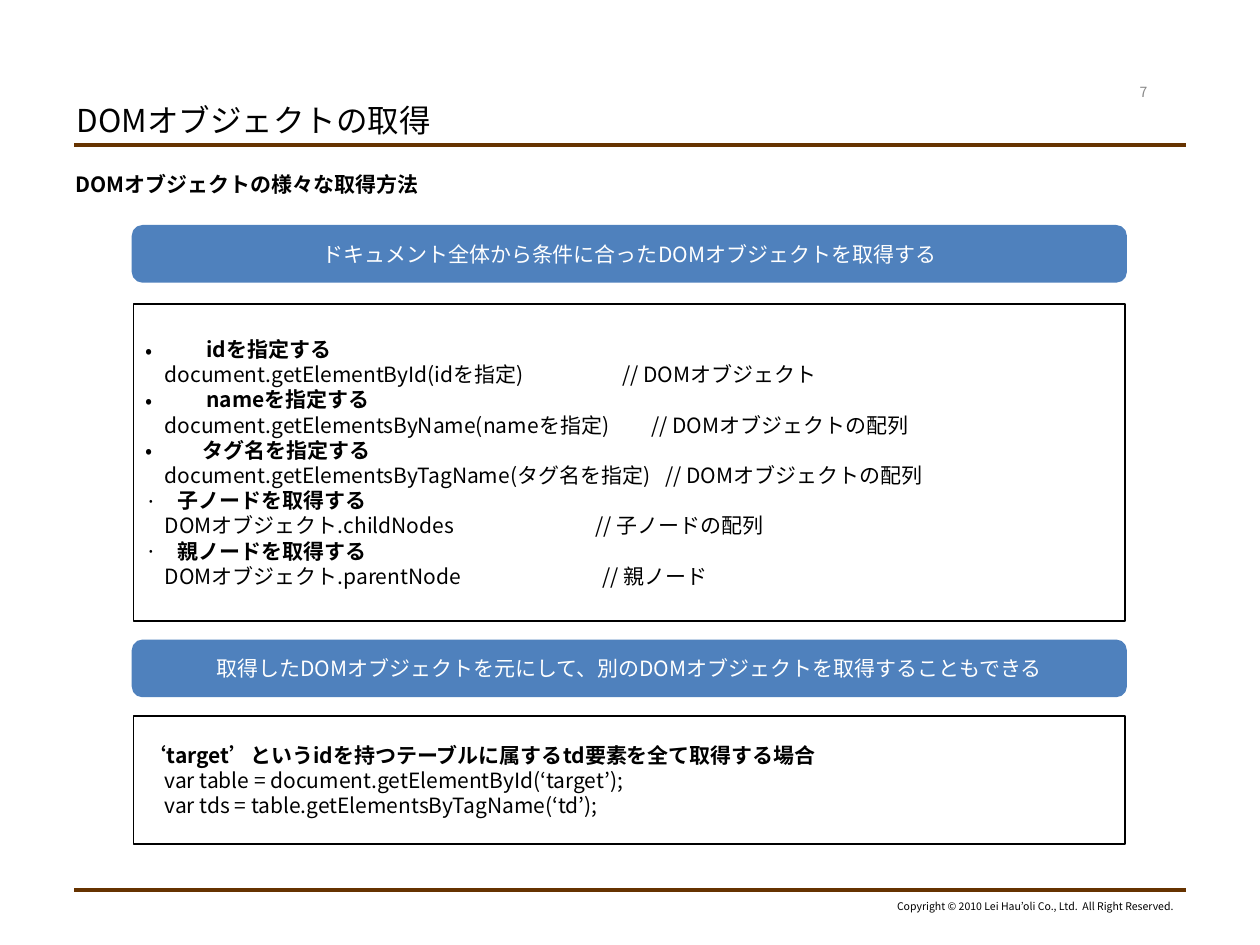
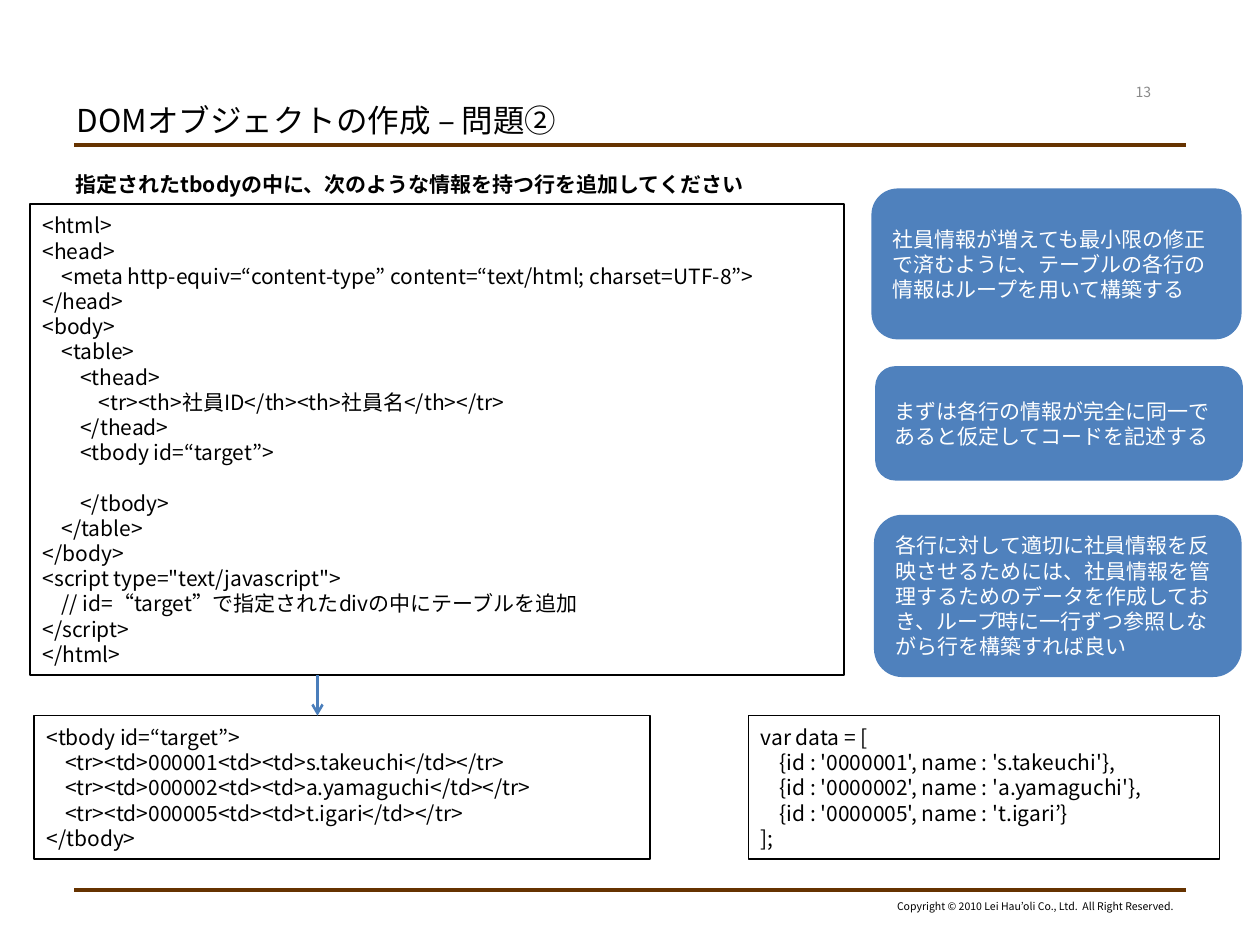
from dataclasses import dataclass
from lxml.etree import SubElement
from pptx import Presentation
from pptx.dml.color import RGBColor
from pptx.enum.shapes import MSO_CONNECTOR, MSO_SHAPE
from pptx.enum.text import MSO_ANCHOR, MSO_AUTO_SIZE, PP_ALIGN
from pptx.oxml.ns import qn
from pptx.util import Inches, Pt


@dataclass(frozen=True)
class Theme:
    font: str = "Noto Sans CJK JP"
    ink: str = "000000"
    white: str = "FFFFFF"
    gray: str = "898989"
    rule: str = "663300"
    blue: str = "4F81BD"
    arrow: str = "4A7EBB"
    title: float = 18
    text: float = 12
    number: float = 8
    footer: float = 6
    pitch: float = 14.4


THEME = Theme()
COPYRIGHT = "Copyright © 2010 Lei Hau’oli Co., Ltd.  All Right Reserved."
RULES = (1.15, 7.06)

# heading, bullet, bullet indent, code, comment, comment position
METHODS = [
    ("idを指定する", "•", 0.48, "document.getElementById(idを指定)", "// DOMオブジェクト", 3.78),
    ("nameを指定する", "•", 0.48, "document.getElementsByName(nameを指定)", "// DOMオブジェクトの配列", 4.01),
    ("タグ名を指定する", "•", 0.45, "document.getElementsByTagName(タグ名を指定)", "// DOMオブジェクトの配列", 4.12),
    ("子ノードを取得する", "·", 0.25, "DOMオブジェクト.childNodes", "// 子ノードの配列", 3.57),
    ("親ノードを取得する", "·", 0.25, "DOMオブジェクト.parentNode", "// 親ノード", 3.62),
]
BANDS = [
    ("ドキュメント全体から条件に合ったDOMオブジェクトを取得する", 1.8),
    ("取得したDOMオブジェクトを元にして、別のDOMオブジェクトを取得することもできる", 5.09),
]
SAMPLE = """‘target’というidを持つテーブルに属するtd要素を全て取得する場合
    var table = document.getElementById(‘target’);
    var tds = table.getElementsByTagName(‘td’);"""

PAGE = """<html>
<head>
    <meta http-equiv=“content-type” content=“text/html; charset=UTF-8”>
</head>
<body>
    <table>
        <thead>
            <tr><th>社員ID</th><th>社員名</th></tr>
        </thead>
        <tbody id=“target”>

        </tbody>
    </table>
</body>
<script type="text/javascript">
    // id=“target”で指定されたdivの中にテーブルを追加
</script>
</html>"""
RESULT = """<tbody id=“target”>
    <tr><td>000001<td><td>s.takeuchi</td></tr>
    <tr><td>000002<td><td>a.yamaguchi</td></tr>
    <tr><td>000005<td><td>t.igari</td></tr>
</tbody>"""
DATA = """var data = [
    {id : '0000001', name : 's.takeuchi'},
    {id : '0000002', name : 'a.yamaguchi'},
    {id : '0000005', name : 't.igari’}
];"""
LISTINGS = [
    (PAGE, (0.24, 1.62, 6.46, 3.74)),
    (RESULT, (0.27, 5.68, 4.89, 1.14)),
    (DATA, (5.94, 5.68, 3.74, 1.14)),
]
HINTS = [
    ("社員情報が増えても最小限の修正で済むように、テーブルの各行の情報はループを用いて構築する",
     (6.93, 1.51, 2.91, 1.17)),
    ("まずは各行の情報が完全に同一であると仮定してコードを記述する",
     (6.96, 2.92, 2.89, 0.88)),
    ("各行に対して適切に社員情報を反映させるためには、社員情報を管理するためのデータを作成しておき、"
     "ループ時に一行ずつ参照しながら行を構築すれば良い", (6.95, 4.1, 2.89, 1.26)),
]


def color(code):
    return RGBColor.from_string(code)


def style(para, size=THEME.text, ink=THEME.ink, bold=False, align=PP_ALIGN.LEFT):
    para.alignment = align
    if size == THEME.text:
        para.line_spacing = Pt(THEME.pitch)
    for run in para.runs:
        font = run.font
        font.name, font.size, font.bold = THEME.font, Pt(size), bold
        font.color.rgb = color(ink)
        SubElement(run._r.rPr, qn("a:ea"), typeface=THEME.font)


def write(frame, text, anchor=MSO_ANCHOR.MIDDLE, wrap=True, **look):
    """Fill a frame line by line; an empty line becomes space before the next."""
    frame.word_wrap, frame.vertical_anchor = wrap, anchor
    frame.auto_size = MSO_AUTO_SIZE.NONE
    frame.text = text.replace("\n\n", "\n")
    lines = text.split("\n")
    gaps = [not prev for prev, line in zip([" "] + lines, lines) if line]
    for para, gap in zip(frame.paragraphs, gaps):
        style(para, **look)
        if gap:
            para.space_before = Pt(THEME.pitch)


def place(shape, box):
    shape.left, shape.top, shape.width, shape.height = map(Inches, box)


def line(slide, start, end, ink, width, head=False):
    link = slide.shapes.add_connector(
        MSO_CONNECTOR.STRAIGHT, *map(Inches, start + end))
    link.line.color.rgb, link.line.width = color(ink), Pt(width)
    if head:
        SubElement(link.line._get_or_add_ln(), qn("a:tailEnd"), type="arrow")
    SubElement(link._element.spPr, qn("a:effectLst"))


def label(slide, text, box, **look):
    frame = slide.shapes.add_textbox(*map(Inches, box)).text_frame
    write(frame, text, **look)


def panel(slide, text, box):
    shape = slide.shapes.add_shape(MSO_SHAPE.RECTANGLE, *map(Inches, box))
    shape.shadow.inherit = False
    shape.fill.background()
    shape.line.color.rgb, shape.line.width = color(THEME.ink), Pt(1)
    write(shape.text_frame, text)
    return shape.text_frame


def pill(slide, text, box, align=PP_ALIGN.LEFT):
    shape = slide.shapes.add_shape(
        MSO_SHAPE.ROUNDED_RECTANGLE, *map(Inches, box))
    shape.shadow.inherit = False
    shape.fill.solid()
    shape.fill.fore_color.rgb = shape.line.color.rgb = color(THEME.blue)
    shape.line.width = Pt(2)
    write(shape.text_frame, text, ink=THEME.white, align=align)


def indent(para, mark, depth):
    """Give a paragraph a hanging bullet, or none when mark is empty."""
    props = para._p.get_or_add_pPr()
    props.set("marL", str(Inches(depth)))
    props.set("indent", str(-Inches(depth)))
    if mark:
        SubElement(props, qn("a:buFont"), typeface=THEME.font)
        SubElement(props, qn("a:buChar"), char=mark)
    else:
        SubElement(props, qn("a:buNone"))


def add_stop(para, pos):
    tabs = SubElement(para._p.get_or_add_pPr(), qn("a:tabLst"))
    SubElement(tabs, qn("a:tab"), pos=str(Inches(pos)), algn="l")


def start(deck, title, lead, number):
    slide = deck.slides.add_slide(deck.slide_layouts[1])
    for y in RULES:
        line(slide, (0.59, y), (9.41, y), THEME.rule, 2.25)
    label(slide, COPYRIGHT, (6.99, 7.09, 2.42, 0.2), wrap=False,
          size=THEME.footer, align=PP_ALIGN.RIGHT)
    head, body = slide.placeholders
    place(head, (0.51, 0.76, 5.68, 0.39))
    write(head.text_frame, title, size=THEME.title)
    place(body, (0.5, 1.31, 9, 5.59))
    write(body.text_frame, lead, anchor=MSO_ANCHOR.TOP, bold=True)
    para = body.text_frame.paragraphs[0]
    para.space_before = Pt(0)
    indent(para, "", 0)
    label(slide, number, (8.78, 0.61, 0.59, 0.24), size=THEME.number,
          ink=THEME.gray, align=PP_ALIGN.CENTER)
    return slide


def build_lookup(deck):
    slide = start(deck, "DOMオブジェクトの取得", "DOMオブジェクトの様々な取得方法", "7")
    for text, y in BANDS:
        pill(slide, text, (1.06, y, 7.87, 0.43), PP_ALIGN.CENTER)
    text = "\n".join(f"{name}\n    {code}\t{note}"
                     for name, _, _, code, note, _ in METHODS)
    paras = panel(slide, text, (1.06, 2.41, 7.87, 2.52)).paragraphs
    for head, code, item in zip(paras[::2], paras[1::2], METHODS):
        indent(head, item[1], item[2])
        add_stop(code, item[5])
        for run in head.runs:
            run.font.bold = True
    sample = panel(slide, SAMPLE, (1.06, 5.68, 7.87, 1.02))
    sample.paragraphs[0].runs[0].font.bold = True


def build_task(deck):
    slide = start(deck, "DOMオブジェクトの作成 – 問題②",
                  "指定されたtbodyの中に、次のような情報を持つ行を追加してください", "13")
    for text, box in LISTINGS:
        panel(slide, text, box)
    line(slide, (2.52, 5.36), (2.52, 5.68), THEME.arrow, 1.5, head=True)
    for text, box in HINTS:
        pill(slide, text, box)


def main():
    deck = Presentation()
    deck.slide_width, deck.slide_height = Inches(10), Inches(7.5)
    build_lookup(deck)
    build_task(deck)
    deck.save("out.pptx")


if __name__ == "__main__":
    main()
